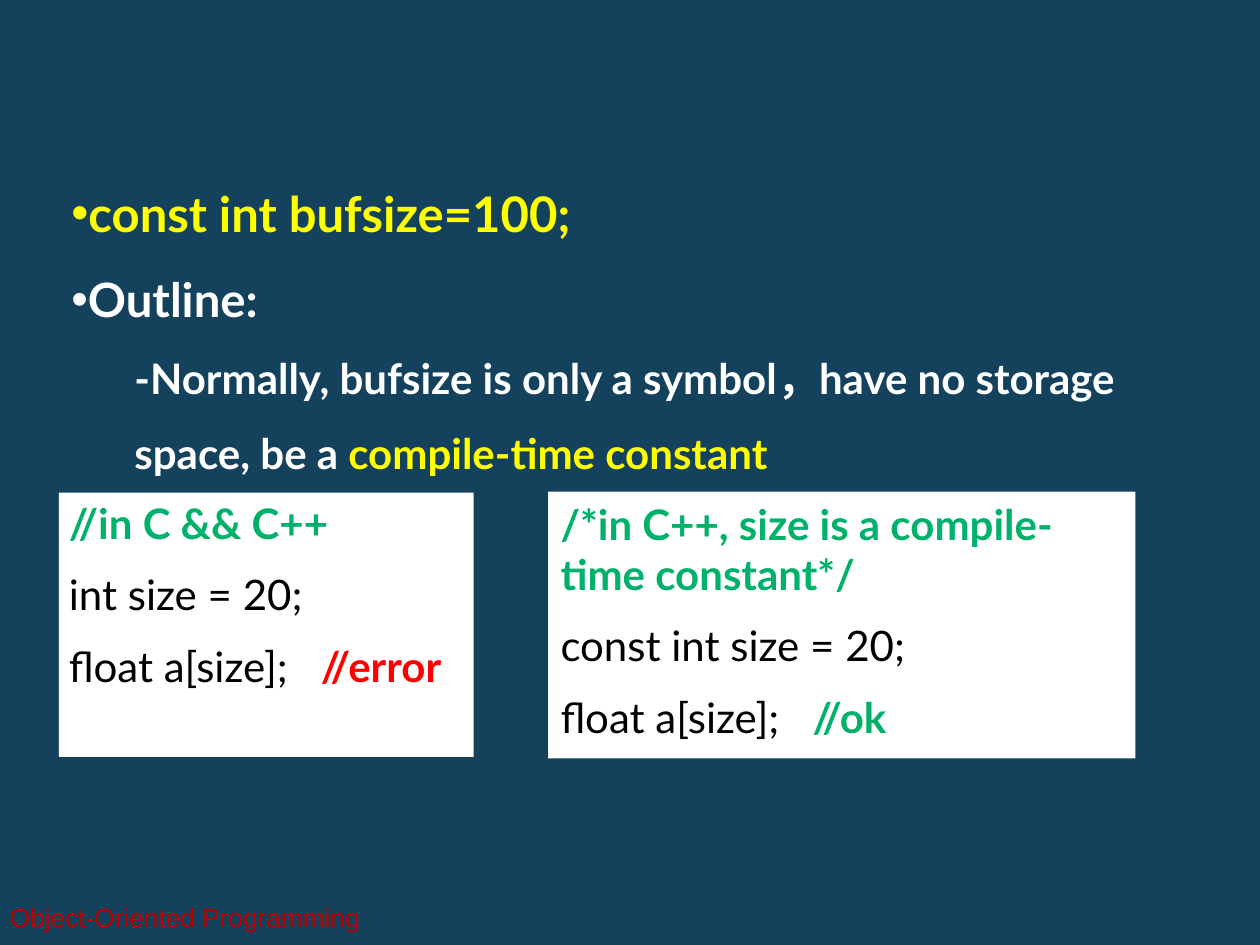
"""Build a slide about constants as compile-time values."""
from lxml import etree
from pptx import Presentation
from pptx.dml.color import RGBColor
from pptx.enum.shapes import MSO_SHAPE
from pptx.enum.text import MSO_ANCHOR, MSO_AUTO_SIZE, PP_ALIGN
from pptx.oxml.ns import qn
from pptx.util import Cm, Pt

RECTANGLE = MSO_SHAPE.RECTANGLE
TOP, MIDDLE = MSO_ANCHOR.TOP, MSO_ANCHOR.MIDDLE
NO_AUTOFIT = MSO_AUTO_SIZE.NONE
LEFT = PP_ALIGN.LEFT

NAVY, WHITE, BLACK = "14425D", "FFFFFF", "000000"
YELLOW, GREEN, RED, DARK_RED = "FFFF00", "00B16A", "FF0000", "C00000"


def color(value):
    """Turn a hex string into a colour."""
    return RGBColor.from_string(value)


def add_text(p, text, size=24, fill=WHITE, bold=True, font="Lato"):
    """Append a formatted run to a paragraph."""
    r = p.add_run()
    r.text = text
    r.font.name = font
    r.font.size = Pt(size)
    r.font.bold = bold
    r.font.color.rgb = color(fill)


def set_frame(tf, anchor=TOP, side=0.25, edge=0.13):
    """Set wrapping, anchor and margins of a text frame."""
    tf.word_wrap = True
    tf.auto_size = NO_AUTOFIT
    tf.vertical_anchor = anchor
    tf.margin_left = tf.margin_right = Cm(side)
    tf.margin_top = tf.margin_bottom = Cm(edge)


def next_paragraph(tf, index, space=0):
    """Return the paragraph at an index, with space before all but the first."""
    p = tf.add_paragraph() if index else tf.paragraphs[0]
    p.alignment = LEFT
    p.space_before = Pt(space if index else 0)
    return p


def set_bullet(p, char=None, indent=0):
    """Set the left indent and bullet of a paragraph."""
    pPr = p._p.get_or_add_pPr()
    pPr.set("marL", str(Cm(indent)))
    pPr.set("indent", "0")
    if char:
        etree.SubElement(pPr, qn("a:buChar")).set("char", char)
    else:
        etree.SubElement(pPr, qn("a:buNone"))


def add_tab(p, position):
    """Add a left tab stop to a paragraph."""
    tabs = etree.SubElement(p._p.get_or_add_pPr(), qn("a:tabLst"))
    etree.SubElement(tabs, qn("a:tab"), pos=str(Cm(position)), algn="l")


def fill_outline(sp, items):
    """Place the body placeholder and write its list."""
    sp.left, sp.top, sp.width, sp.height = Cm(1.19), Cm(2.97), Cm(22.15), Cm(6.86)
    tf = sp.text_frame
    set_frame(tf)
    for i, (level, char, runs) in enumerate(items):
        p = next_paragraph(tf, i)
        p.level = level
        p.line_spacing = 1.5
        set_bullet(p, char, level * 1.27)
        for text, size, fill in runs:
            add_text(p, text, size, fill)


def add_code(s, box, comment, declaration, verdict, fill, **margins):
    """Add a white code panel with its comment and verdict."""
    sp = s.shapes.add_shape(RECTANGLE, *map(Cm, box))
    sp.shadow.inherit = False
    sp.fill.solid()
    sp.fill.fore_color.rgb = color(WHITE)
    sp.line.fill.background()
    tf = sp.text_frame
    set_frame(tf, **margins)
    add_text(next_paragraph(tf, 0), comment, fill=GREEN)
    add_text(next_paragraph(tf, 1, 12), declaration, fill=BLACK, bold=False)
    p = next_paragraph(tf, 2, 12)
    add_tab(p, 5.08)
    add_text(p, "float a[size];\t", fill=BLACK, bold=False)
    add_text(p, verdict, fill=fill)


def add_footer(s, text):
    """Add the course name at the lower left."""
    sp = s.shapes.add_textbox(Cm(-0.05), Cm(17.98), Cm(10.19), Cm(1.02))
    set_frame(sp.text_frame, MIDDLE)
    add_text(next_paragraph(sp.text_frame, 0), text, 15, DARK_RED, False, "Arial")


def main():
    """Build and save the slide."""
    prs = Presentation()
    prs.slide_width, prs.slide_height = Cm(25.4), Cm(19.05)
    s = prs.slides.add_slide(prs.slide_layouts[1])
    s.background.fill.solid()
    s.background.fill.fore_color.rgb = color(NAVY)
    title = s.shapes.title._element
    title.getparent().remove(title)

    fill_outline(s.placeholders[1], [
        (0, "•", [("const int bufsize=100;", 28, YELLOW)]),
        (0, "•", [("Outline:", 27, WHITE)]),
        (1, None, [
            ("-Normally, bufsize is only a symbol，have no storage space, be a ", 24, WHITE),
            ("compile-time constant", 24, YELLOW),
        ]),
    ])
    add_code(s, (1.19, 9.93, 8.36, 5.33), "//in C && C++",
             "int size = 20;", "//error", RED, side=0.2, edge=0.1)
    add_code(s, (11.05, 9.91, 11.84, 5.38), "/*in C++, size is a compile-time constant*/",
             "const int size = 20;", "//ok", GREEN)
    add_footer(s, "Object-Oriented Programming")
    prs.save("out.pptx")


if __name__ == "__main__":
    main()
